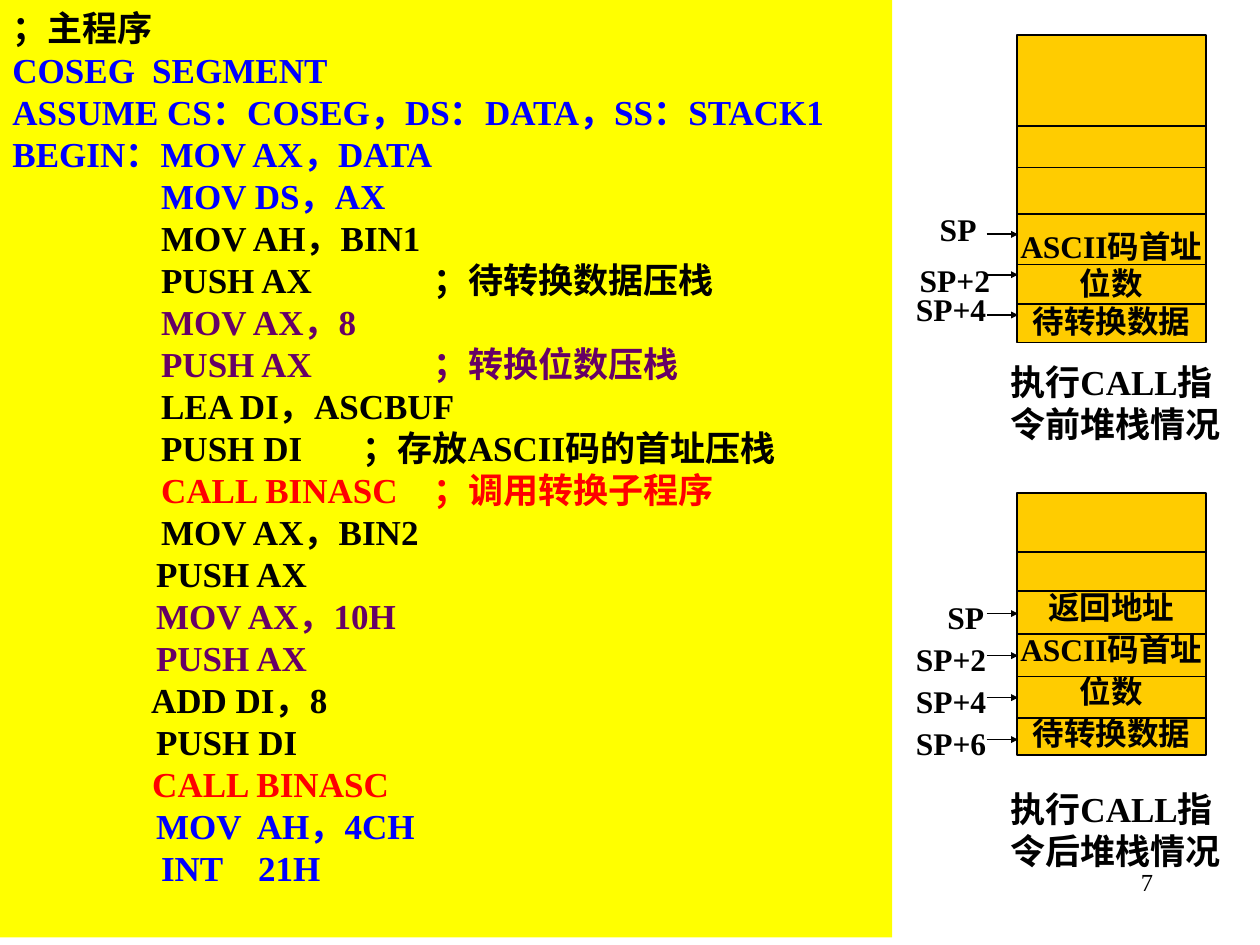
from dataclasses import dataclass

from lxml.etree import SubElement
from pptx import Presentation
from pptx.dml.color import RGBColor
from pptx.enum.shapes import MSO_CONNECTOR, MSO_SHAPE
from pptx.enum.text import MSO_ANCHOR, PP_ALIGN
from pptx.oxml.ns import qn
from pptx.util import Inches, Pt


@dataclass(frozen=True)
class Theme:
    font: str = "Times New Roman"
    black: str = "000000"
    blue: str = "0000FF"
    purple: str = "660066"
    red: str = "FF0000"
    panel: str = "FFFF00"
    stack: str = "FFCC00"
    body: int = 20
    label: int = 18
    number: int = 14
    rule: int = 1


THEME = Theme()


def write(shape, lines, size, align=PP_ALIGN.LEFT, bold=True, **frame_format):
    """Fill a shape with (colour, text, tab stops in inches) lines."""
    frame = shape.text_frame
    frame_values = {"word_wrap": True, "vertical_anchor": MSO_ANCHOR.TOP} | frame_format
    for attribute, value in frame_values.items():
        setattr(frame, attribute, value)
    for index, (color, text, stops) in enumerate(lines):
        paragraph = frame.paragraphs[0] if index == 0 else frame.add_paragraph()
        paragraph.alignment = align
        paragraph.line_spacing = Pt(size * 1.2)
        if stops:
            tabs = SubElement(paragraph._p.get_or_add_pPr(), qn("a:tabLst"))
            for stop in stops:
                SubElement(tabs, qn("a:tab"), pos=str(Inches(stop)), algn="l")
        run = paragraph.add_run()
        run.text = text
        font_values = {"name": THEME.font, "size": Pt(size), "bold": bold}
        for attribute, value in font_values.items():
            setattr(run.font, attribute, value)
        run.font.color.rgb = RGBColor.from_string(color)


def draw_line(shapes, left, right, y, arrow=False):
    line = shapes.add_connector(
        MSO_CONNECTOR.STRAIGHT, Inches(left), Inches(y), Inches(right), Inches(y)
    )
    line.line.color.rgb = RGBColor.from_string(THEME.black)
    line.line.width = Pt(THEME.rule)
    if arrow:
        SubElement(line.line._get_or_add_ln(), qn("a:tailEnd"),
                   type="triangle", w="sm", len="sm")
    SubElement(line._element.spPr, qn("a:effectLst"))


presentation = Presentation()
presentation.slide_width = Inches(10)
presentation.slide_height = Inches(7.5)
slide = presentation.slides.add_slide(presentation.slide_layouts[6])

# Main program: instructions start at a tab stop, comments at a second one
INDENT, NEAR_INDENT, CALL_INDENT, ADD_INDENT = 1.18, 1.14, 1.11, 1.1
COMMENT, NEAR_COMMENT = 3.34, 2.78
program = [
    (THEME.black, "；主程序", []),
    (THEME.blue, "COSEG\tSEGMENT", [1.11]),
    (THEME.blue, "ASSUME CS：COSEG，DS：DATA，SS：STACK1", []),
    (THEME.blue, "BEGIN：MOV AX，DATA", []),
    (THEME.blue, "\tMOV DS，AX", [INDENT]),
    (THEME.black, "\tMOV AH，BIN1", [INDENT]),
    (THEME.black, "\tPUSH AX\t；待转换数据压栈", [INDENT, COMMENT]),
    (THEME.purple, "\tMOV AX，8", [INDENT]),
    (THEME.purple, "\tPUSH AX\t；转换位数压栈", [INDENT, COMMENT]),
    (THEME.black, "\tLEA DI，ASCBUF", [INDENT]),
    (THEME.black, "\tPUSH DI\t；存放ASCII码的首址压栈", [INDENT, NEAR_COMMENT]),
    (THEME.red, "\tCALL BINASC\t；调用转换子程序", [INDENT, COMMENT]),
    (THEME.black, "\tMOV AX，BIN2", [INDENT]),
    (THEME.black, "\tPUSH AX", [NEAR_INDENT]),
    (THEME.purple, "\tMOV AX，10H", [NEAR_INDENT]),
    (THEME.purple, "\tPUSH AX", [NEAR_INDENT]),
    (THEME.black, "\tADD DI，8", [ADD_INDENT]),
    (THEME.black, "\tPUSH DI", [NEAR_INDENT]),
    (THEME.red, "\tCALL BINASC", [CALL_INDENT]),
    (THEME.blue, "\tMOV\tAH，4CH", [NEAR_INDENT, 1.94]),
    (THEME.blue, "\tINT\t21H", [INDENT, 1.95]),
]
code_panel = slide.shapes.add_shape(
    MSO_SHAPE.RECTANGLE, 0, 0, Inches(7.08), Inches(7.44)
)
code_panel.shadow.inherit = False
code_panel.fill.solid()
code_panel.fill.fore_color.rgb = RGBColor.from_string(THEME.panel)
code_panel.line.fill.background()
write(code_panel, program, THEME.body)

# Stack before and after CALL; pointers are (text, left, top)
STACK_LEFT, STACK_WIDTH, LABEL_HEIGHT = 8.07, 1.5, 0.4
ENTRY_OVERHANG = 0.15
ROW_PITCH = 1 / 3
stacks = [
    {
        "top": 0.28, "height": 2.44, "dividers": [1, 1.33, 1.7, 2.1, 2.41],
        "entries": ["ASCII码首址", "位数", "待转换数据"],
        "entry_top": 1.75, "entry_pitch": 0.3,
        "pointers": [("SP", 7.36, 1.62), ("SP+2", 7.2, 2.02), ("SP+4", 7.17, 2.25)],
        "arrow_top": 1.86, "arrow_pitch": 0.32,
        "caption": "执行CALL指令前堆栈情况", "caption_top": 2.81,
    },
    {
        "top": 3.91, "height": 2.08, "dividers": [4.38, 4.69, 5.03, 5.37, 5.7],
        "entries": ["返回地址", "ASCII码首址", "位数", "待转换数据"],
        "entry_top": 4.62, "entry_pitch": ROW_PITCH,
        "pointers": [("SP", 7.42, 4.7)]
        + [(f"SP+{2 * row}", 7.17, 4.7 + row * ROW_PITCH) for row in (1, 2, 3)],
        "arrow_top": 4.87, "arrow_pitch": ROW_PITCH,
        "caption": "执行CALL指令后堆栈情况", "caption_top": 6.2,
    },
]
for stack in stacks:
    parts = slide.shapes.add_group_shape().shapes
    memory = parts.add_shape(
        MSO_SHAPE.RECTANGLE, Inches(STACK_LEFT), Inches(stack["top"]),
        Inches(STACK_WIDTH), Inches(stack["height"]),
    )
    memory.shadow.inherit = False
    memory.fill.solid()
    memory.fill.fore_color.rgb = RGBColor.from_string(THEME.stack)
    memory.line.color.rgb = RGBColor.from_string(THEME.black)
    memory.line.width = Pt(THEME.rule)
    for y in stack["dividers"]:
        draw_line(parts, STACK_LEFT, STACK_LEFT + STACK_WIDTH, y)

    for row, entry in enumerate(stack["entries"]):
        entry_label = parts.add_textbox(
            Inches(STACK_LEFT - ENTRY_OVERHANG),
            Inches(stack["entry_top"] + row * stack["entry_pitch"]),
            Inches(STACK_WIDTH + 2 * ENTRY_OVERHANG), Inches(LABEL_HEIGHT),
        )
        write(entry_label, [(THEME.black, entry, [])], THEME.label,
              PP_ALIGN.CENTER, word_wrap=False)

    for row, (pointer, left, top) in enumerate(stack["pointers"]):
        pointer_label = parts.add_textbox(
            Inches(left), Inches(top), Inches(0.92), Inches(LABEL_HEIGHT)
        )
        write(pointer_label, [(THEME.black, pointer, [])], THEME.label)
        arrow_y = stack["arrow_top"] + row * stack["arrow_pitch"]
        draw_line(parts, 7.83, 8.08, arrow_y, arrow=True)

    caption = parts.add_textbox(
        Inches(7.92), Inches(stack["caption_top"]), Inches(2.08), Inches(0.77)
    )
    write(caption, [(THEME.black, stack["caption"], [])], THEME.body)

page_number = slide.shapes.add_textbox(
    Inches(7.17), Inches(6.83), Inches(2.08), Inches(0.5)
)
write(page_number, [(THEME.black, "7", [])], THEME.number, PP_ALIGN.RIGHT, bold=False)

presentation.save("out.pptx")
